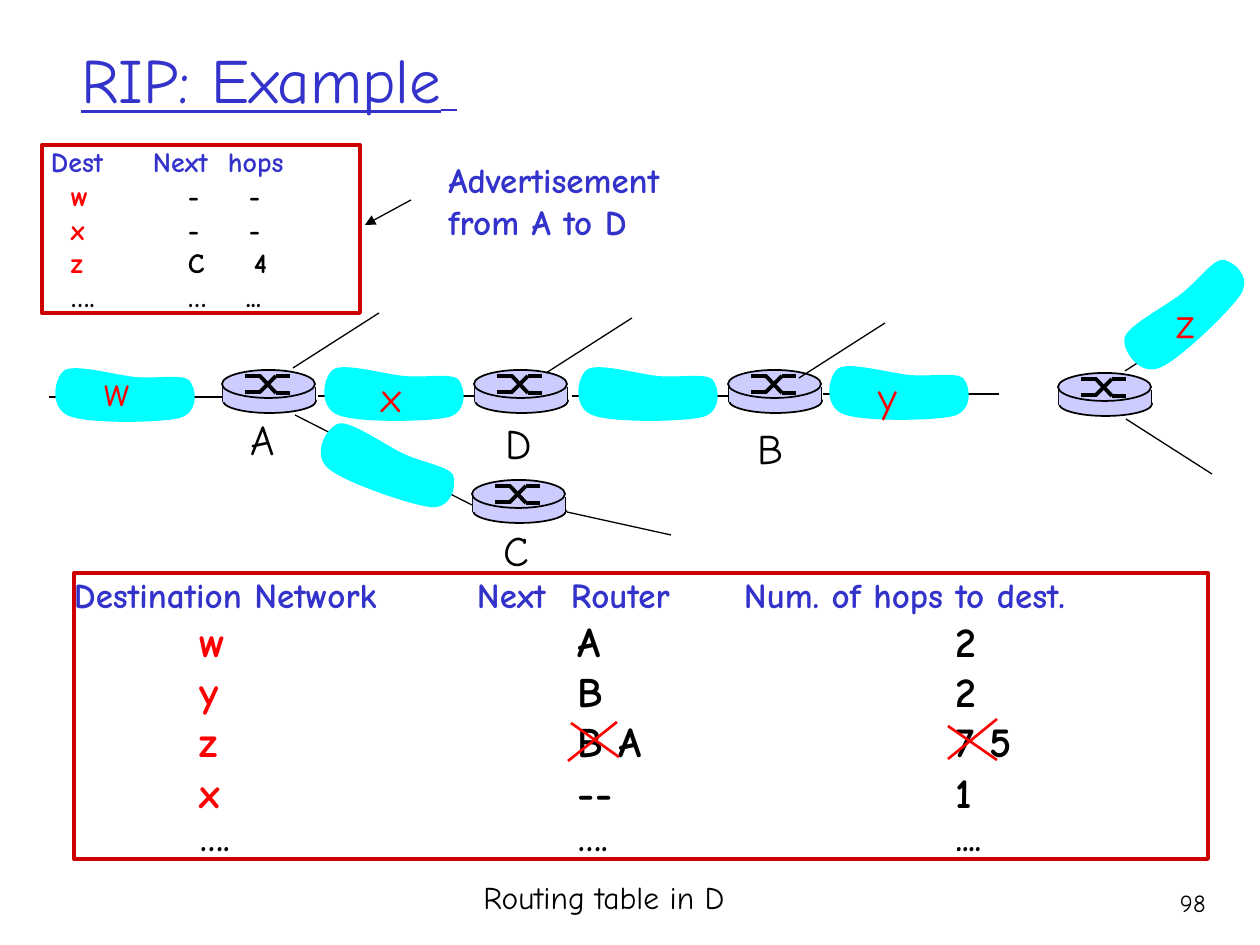
from lxml.etree import SubElement as Sub
from pptx import Presentation
from pptx.dml.color import RGBColor as Rgb
from pptx.enum.shapes import MSO_CONNECTOR as Link, MSO_SHAPE as Kind
from pptx.enum.text import MSO_ANCHOR as Anchor, PP_ALIGN as Align
from pptx.oxml import parse_xml
from pptx.oxml.ns import nsdecls, qn
from pptx.util import Pt

HUE = {"ink": "000000", "blue": "3333CC", "red": "FF0000", "frame": "CC0000",
       "cyan": "00FFFF", "lilac": "CCCCFF"}
FONT = "Comic Neue"

# Cloud outline: a start point, then three points for each cubic curve
START = (86, 13)
CURVES = [
    (66, 11), (28, 0), (16, 6),
    (5, 13), (0, 44), (20, 52),
    (39, 60), (111, 59), (131, 54),
    (151, 48), (147, 23), (140, 16),
    (132, 10), (106, 15), START,
]
# Strokes of the switch sign on top of a router
SIGN = [(23, 6, 39, 6), (54, 23, 68, 23), (38, 6, 54, 23),
        (23, 22, 39, 22), (54, 6, 68, 6), (38, 22, 54, 6)]


def emu(px):
    return round(px * 914400 / 126)


class Page:
    def __init__(self, deck):
        self.shapes = deck.slides.add_slide(deck.slide_layouts[6]).shapes

    def paint(self, shape, fill=None, line=None, width=1):
        shape.shadow.inherit = False
        if fill:
            shape.fill.solid()
            shape.fill.fore_color.rgb = Rgb.from_string(HUE[fill])
        else:
            shape.fill.background()
        if line:
            shape.line.color.rgb = Rgb.from_string(HUE[line])
            shape.line.width = Pt(width)
        else:
            shape.line.fill.background()
        return shape

    def shape(self, kind, x, y, w, h, **look):
        box = self.shapes.add_shape(kind, emu(x), emu(y), emu(w), emu(h))
        return self.paint(box, **look)

    def line(self, x1, y1, x2, y2, width=0.75, color="ink", arrow=False):
        rule = self.shapes.add_connector(
            Link.STRAIGHT, emu(x1), emu(y1), emu(x2), emu(y2))
        rule.line.color.rgb = Rgb.from_string(HUE[color])
        rule.line.width = Pt(width)
        props = rule._element.spPr
        if arrow:
            Sub(props.find(qn("a:ln")), qn("a:tailEnd"), type="triangle")
        Sub(props, qn("a:effectLst"))

    def font(self, para, size, color, bold=False):
        font = para.font
        font.name, font.size, font.bold = FONT, Pt(size), bold
        font.color.rgb = Rgb.from_string(HUE[color])

    def text(self, x, y, w, h, lines, size, color="ink", bold=False,
             wrap=False, align=Align.LEFT):
        box = self.shapes.add_textbox(emu(x), emu(y), emu(w), emu(h))
        frame = box.text_frame
        frame.word_wrap = wrap
        for i, words in enumerate(lines):
            para = frame.add_paragraph() if i else frame.paragraphs[0]
            para.alignment = align
            para.add_run().text = words
            self.font(para, size, color, bold)
        return frame

    def board(self, x, y, w, h, rows):
        """Framed list; a row is cells, tab stops, size, first and rest colour."""
        frame = self.shape(Kind.RECTANGLE, x, y, w, h,
                           line="frame", width=2.25).text_frame
        frame.margin_left = frame.margin_right = 0
        frame.margin_top = frame.margin_bottom = 0
        frame.vertical_anchor = Anchor.TOP
        for i, (cells, stops, size, first, rest) in enumerate(rows):
            para = frame.add_paragraph() if i else frame.paragraphs[0]
            para.alignment = Align.LEFT
            lead = "\t" if len(stops) == len(cells) else ""
            head = para.add_run()
            head.text = lead + cells[0]
            head.font.color.rgb = Rgb.from_string(HUE[first])
            para.add_run().text = "\t" + "\t".join(cells[1:])
            self.font(para, size, rest, True)
            tabs = parse_xml(f"<a:tabLst {nsdecls('a')}/>")
            for stop in stops:
                Sub(tabs, qn("a:tab"), pos=str(emu(stop)), algn="l")
            para._p.get_or_add_pPr().insert(0, tabs)

    def cloud(self, x, y, turn=0):
        dots = [(emu(x + i), emu(y + j)) for i, j in [START, *CURVES]]
        path = self.shapes.build_freeform(*dots[0])
        path.add_line_segments(dots[1:], close=True)
        shape = self.paint(path.convert_to_shape(), fill="cyan")
        shape.rotation = turn
        # Turn each three straight steps into one curve
        steps = list(shape._element.iter(qn("a:lnTo")))
        for i in range(0, len(steps), 3):
            curve = parse_xml(f"<a:cubicBezTo {nsdecls('a')}/>")
            steps[i].addprevious(curve)
            for step in steps[i:i + 3]:
                curve.append(step[0])
                step.getparent().remove(step)

    def router(self, x, y):
        self.shape(Kind.OVAL, x + 1, y + 19, 93, 24, fill="lilac", line="ink")
        for side in (x + 1, x + 93):
            self.line(side, y + 17, side, y + 32, 1)
        self.shape(Kind.RECTANGLE, x + 1, y + 17, 92, 15, fill="lilac")
        self.shape(Kind.OVAL, x, y, 93, 28, fill="lilac", line="ink")
        for x1, y1, x2, y2 in SIGN:
            self.line(x + x1, y + y1, x + x2, y + y2, 2.25)


def main():
    deck = Presentation()
    deck.slide_width, deck.slide_height = emu(1260), emu(945)
    page = Page(deck)

    # Title
    title = page.text(69, 0, 1071, 157, ["RIP: Example"], 36, "blue", wrap=True)
    title.vertical_anchor = Anchor.MIDDLE
    para = title.paragraphs[0]
    para.font.underline = True
    tail = para.add_run()
    tail.text, tail.font.size = " ", Pt(28)

    # Routing table in D
    cols = (126, 504, 882)
    page.board(74, 573, 1134, 286, [
        (["Destination Network", "Next", "Router", "Num. of hops to dest."],
         (403, 497, 670), 20, "blue", "blue"),
        *[(cells, cols, 24, "red", "ink") for cells in (
            ["w", "A", "2"], ["y", "B", "2"], ["z", "B A", "7 5"],
            ["x", "--", "1"])],
        (["….", "….", "...."], cols, 20, "ink", "ink"),
    ])
    page.text(471, 872, 267, 50, ["Routing table in D"], 18)

    # Links, routers and stubs
    for x, y in ((318, 396), (572, 396), (49, 397), (823, 394)):
        page.line(x, y, x + 176, y, 1)
    for x, y in ((474, 370), (222, 370), (472, 480), (728, 370), (1058, 373)):
        page.router(x, y)
    for x, y, rise in ((293, 368, 55), (546, 373, 55), (799, 378, 55),
                       (1125, 371, 55), (1126, 419, -55)):
        page.line(x, y, x + 86, y - rise)
    page.line(295, 415, 472, 505)
    page.line(567, 512, 671, 535)

    # Networks
    for x, y, turn in ((318, 363, 0), (312, 436, 19.7), (49, 364, 0),
                       (572, 363, 0), (823, 362, 0), (1109, 284, 316.8)):
        page.cloud(x, y, turn)

    # Names of networks and routers
    for name, x, y, w, color in (
            ("w", 92, 358, 50, "red"), ("x", 369, 364, 45, "red"),
            ("y", 866, 364, 44, "red"), ("z", 1164, 290, 43, "red"),
            ("A", 238, 407, 49, "ink"), ("C", 491, 518, 50, "ink"),
            ("D", 493, 411, 52, "ink"), ("B", 745, 416, 50, "ink")):
        page.text(x, y, w, 63, [name], 24, color)

    # Advertisement
    page.board(42, 145, 318, 168, [
        (["Dest", "Next", "hops"], (9, 111, 186), 16, "blue", "blue"),
        *[(cells, (29, 146, last), 16, color, "ink")
          for cells, last, color in (
              (["w", "-", "-"], 207, "red"), (["x", "-", "-"], 207, "red"),
              (["z", "C", "4"], 212, "red"), (["….", "…", "..."], 204, "ink"))],
    ])
    page.text(436, 152, 237, 97, ["Advertisement", "from A to D"],
              20, "blue", bold=True)
    page.line(411, 200, 365, 225, arrow=True)

    # Old values struck out
    for ends in ((571, 723, 619, 757), (568, 761, 617, 722),
                 (948, 726, 997, 760), (948, 759, 997, 719)):
        page.line(*ends, 1.5, "red")

    # Page number
    page.text(1125, 882, 93, 63, ["98"], 14, wrap=True, align=Align.RIGHT)
    deck.save("out.pptx")


if __name__ == "__main__":
    main()
